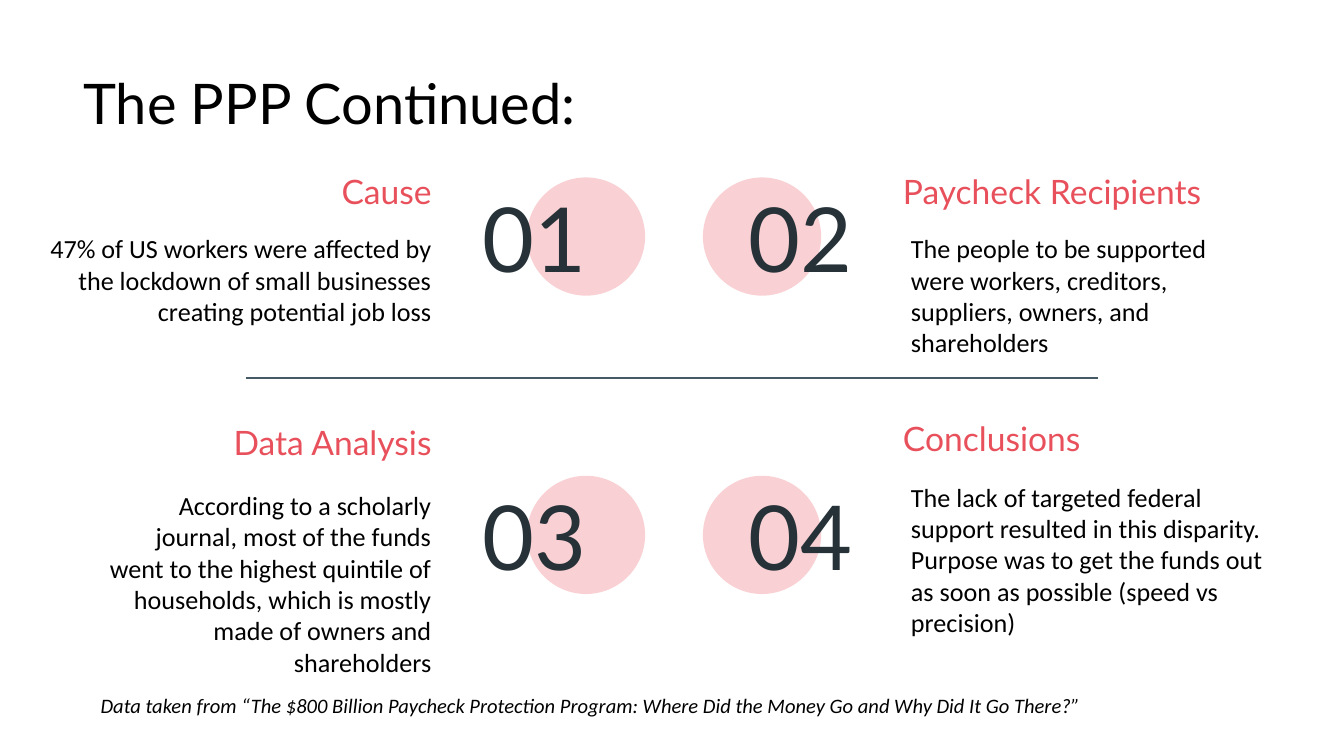
from dataclasses import dataclass

from lxml import etree
from pptx import Presentation
from pptx.dml.color import RGBColor
from pptx.enum.shapes import MSO_CONNECTOR, MSO_SHAPE
from pptx.enum.text import MSO_ANCHOR, MSO_AUTO_SIZE, PP_ALIGN
from pptx.oxml.ns import qn
from pptx.util import Emu, Pt

LEFT, RIGHT = PP_ALIGN.LEFT, PP_ALIGN.RIGHT
TOP, MIDDLE, BOTTOM = MSO_ANCHOR.TOP, MSO_ANCHOR.MIDDLE, MSO_ANCHOR.BOTTOM
NO_AUTOFIT = MSO_AUTO_SIZE.NONE
ELLIPSE = MSO_SHAPE.OVAL
STRAIGHT = MSO_CONNECTOR.STRAIGHT

TITLE_ONLY_LAYOUT = 5
EMU_PER_PX = 9144  # 100 px to the inch
SLIDE_WIDTH = 1000
INSET = 10
CIRCLE_SIZE = 88
NUMBER_WIDTH, NUMBER_HEIGHT, NUMBER_DROP = 131, 82, 3
HEADING_HEIGHT = 44


@dataclass(frozen=True)
class TextStyle:
    font: str
    size: int
    color: str
    anchor: MSO_ANCHOR = TOP
    italic: bool = False


@dataclass(frozen=True)
class Theme:
    accent: str = "E8505B"
    circle_alpha: int = 26
    rule: str = "455A64"
    rule_width: float = 0.75
    title: TextStyle = TextStyle("Lato", 30, "000000")
    number: TextStyle = TextStyle("Lato", 48, "263238", MIDDLE)
    heading: TextStyle = TextStyle("Lato", 18, "E8505B", BOTTOM)
    body: TextStyle = TextStyle("Calibri", 14, "000000")
    source: TextStyle = TextStyle("Calibri", 11, "000000", italic=True)


@dataclass(frozen=True)
class Box:
    left: int
    top: int
    width: int
    height: int

    def emu(self) -> tuple:
        return tuple(px(v) for v in (self.left, self.top, self.width, self.height))


@dataclass(frozen=True)
class Column:
    circle_left: int
    number_left: int
    alignment: PP_ALIGN
    number_alignment: PP_ALIGN


@dataclass(frozen=True)
class Topic:
    number: str
    column: Column
    circle_top: int
    heading: str
    heading_box: Box
    body: str
    body_box: Box


THEME = Theme()
LEFT_COLUMN = Column(392, 349, RIGHT, LEFT)
RIGHT_COLUMN = Column(523, 513, LEFT, RIGHT)
UPPER_ROW, LOWER_ROW = 132, 354

TOPICS = (
    Topic("01", LEFT_COLUMN, UPPER_ROW,
          "Cause", Box(102, 123, 229, HEADING_HEIGHT),
          "47% of US workers were affected by the lockdown of small businesses "
          "creating potential job loss", Box(12, 163, 319, 111)),
    Topic("02", RIGHT_COLUMN, UPPER_ROW,
          "Paycheck Recipients", Box(662, 123, 276, HEADING_HEIGHT),
          "The people to be supported were workers, creditors, suppliers, "
          "owners, and shareholders", Box(668, 163, 246, 111)),
    Topic("03", LEFT_COLUMN, LOWER_ROW,
          "Data Analysis", Box(102, 310, 229, HEADING_HEIGHT),
          "According to a scholarly journal, most of the funds went to the "
          "highest quintile of households, which is mostly made of owners and "
          "shareholders", Box(65, 354, 266, 129)),
    Topic("04", RIGHT_COLUMN, LOWER_ROW,
          "Conclusions", Box(662, 307, 229, HEADING_HEIGHT),
          "The lack of targeted federal support resulted in this disparity. "
          "Purpose was to get the funds out as soon as possible (speed vs "
          "precision)", Box(668, 348, 294, 177)),
)


def px(value: int) -> Emu:
    return Emu(value * EMU_PER_PX)


def write_text(shape, text: str, style: TextStyle, alignment: PP_ALIGN) -> None:
    frame = shape.text_frame
    frame.word_wrap = True
    frame.auto_size = NO_AUTOFIT
    frame.vertical_anchor = style.anchor
    frame.margin_left = frame.margin_right = px(INSET)
    frame.margin_top = frame.margin_bottom = px(INSET)
    paragraph = frame.paragraphs[0]
    paragraph.alignment = alignment
    paragraph.space_before = Pt(0)
    run = paragraph.add_run()
    run.text = text
    run.font.name = style.font
    run.font.size = Pt(style.size)
    run.font.italic = style.italic
    run.font.color.rgb = RGBColor.from_string(style.color)


def add_text(slide, box: Box, text: str, style: TextStyle,
             alignment: PP_ALIGN = LEFT) -> None:
    write_text(slide.shapes.add_textbox(*box.emu()), text, style, alignment)


def add_circle(slide, left: int, top: int) -> None:
    box = Box(left, top, CIRCLE_SIZE, CIRCLE_SIZE)
    circle = slide.shapes.add_shape(ELLIPSE, *box.emu())
    circle.shadow.inherit = False
    circle.line.fill.background()
    circle.fill.solid()
    circle.fill.fore_color.rgb = RGBColor.from_string(THEME.accent)
    color = circle._element.spPr.find(qn("a:solidFill"))[0]
    etree.SubElement(color, qn("a:alpha")).set("val", str(THEME.circle_alpha * 1000))


def add_rule(slide, left: int, right: int, y: Emu) -> None:
    rule = slide.shapes.add_connector(STRAIGHT, px(left), y, px(right), y)
    rule.line.color.rgb = RGBColor.from_string(THEME.rule)
    rule.line.width = Pt(THEME.rule_width)
    etree.SubElement(rule._element.spPr, qn("a:effectLst"))


def add_topic(slide, topic: Topic) -> None:
    column = topic.column
    add_circle(slide, column.circle_left, topic.circle_top)
    number_box = Box(column.number_left, topic.circle_top + NUMBER_DROP,
                     NUMBER_WIDTH, NUMBER_HEIGHT)
    add_text(slide, number_box, topic.number, THEME.number, column.number_alignment)
    add_text(slide, topic.heading_box, topic.heading, THEME.heading, column.alignment)
    add_text(slide, topic.body_box, topic.body, THEME.body, column.alignment)


def main() -> None:
    presentation = Presentation()
    presentation.slide_width = px(SLIDE_WIDTH)
    presentation.slide_height = Emu(px(SLIDE_WIDTH) * 9 // 16)
    slide = presentation.slides.add_slide(presentation.slide_layouts[TITLE_ONLY_LAYOUT])

    # Title
    title = slide.shapes.title
    title.left, title.top, title.width, title.height = Box(52, 41, 829, 71).emu()
    write_text(title, "The PPP Continued:", THEME.title, LEFT)

    # Four numbered topics, split by a rule at mid-height
    for topic in TOPICS:
        add_topic(slide, topic)
    add_rule(slide, 183, 817, Emu(presentation.slide_height // 2))

    # Source note
    add_text(slide, Box(65, 506, 872, 62),
             "Data taken from “The $800 Billion Paycheck Protection Program: "
             "Where Did the Money Go and Why Did It Go There?”", THEME.source)

    presentation.save("out.pptx")


if __name__ == "__main__":
    main()
